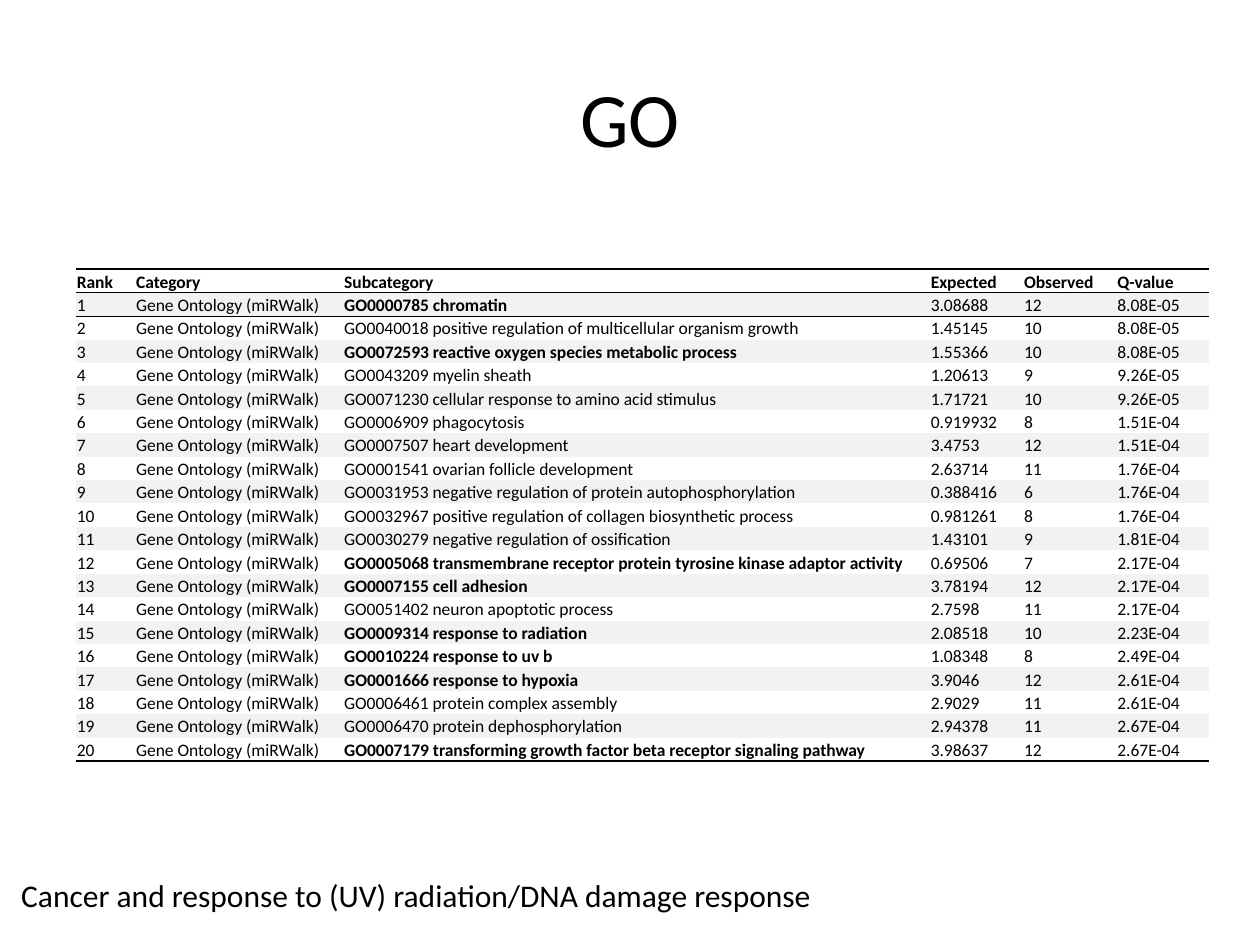
import pptx
import pptx.dml.color
import pptx.enum.text
import pptx.oxml
import pptx.oxml.ns
import pptx.util

SLIDE_WIDTH = pptx.util.Inches(10)
SLIDE_HEIGHT = pptx.util.Inches(7.5)
FONT = "Calibri"
BLACK, WHITE, GREY = "000000", "FFFFFF", "F2F2F2"
NO_STYLE = "{2D5ABB26-0587-4C30-8999-92F81FD0307C}"
THICK, THIN = 1.5, 0.5

CATEGORY = "Gene Ontology (miRWalk)"
HEADINGS = ["Rank", "Category", "Subcategory", "Expected", "Observed", "Q-value"]
COLUMN_SHARES = [0.47, 1.65, 4.65, 0.74, 0.74, 0.74]
BOLD_RANKS = {1, 3, 12, 13, 15, 16, 17, 20}
TERMS = [
    ("GO0000785 chromatin", "3.08688", "12", "8.08E-05"),
    ("GO0040018 positive regulation of multicellular organism growth", "1.45145", "10", "8.08E-05"),
    ("GO0072593 reactive oxygen species metabolic process", "1.55366", "10", "8.08E-05"),
    ("GO0043209 myelin sheath", "1.20613", "9", "9.26E-05"),
    ("GO0071230 cellular response to amino acid stimulus", "1.71721", "10", "9.26E-05"),
    ("GO0006909 phagocytosis", "0.919932", "8", "1.51E-04"),
    ("GO0007507 heart development", "3.4753", "12", "1.51E-04"),
    ("GO0001541 ovarian follicle development", "2.63714", "11", "1.76E-04"),
    ("GO0031953 negative regulation of protein autophosphorylation", "0.388416", "6", "1.76E-04"),
    ("GO0032967 positive regulation of collagen biosynthetic process", "0.981261", "8", "1.76E-04"),
    ("GO0030279 negative regulation of ossification", "1.43101", "9", "1.81E-04"),
    ("GO0005068 transmembrane receptor protein tyrosine kinase adaptor activity", "0.69506", "7", "2.17E-04"),
    ("GO0007155 cell adhesion", "3.78194", "12", "2.17E-04"),
    ("GO0051402 neuron apoptotic process", "2.7598", "11", "2.17E-04"),
    ("GO0009314 response to radiation", "2.08518", "10", "2.23E-04"),
    ("GO0010224 response to uv b", "1.08348", "8", "2.49E-04"),
    ("GO0001666 response to hypoxia", "3.9046", "12", "2.61E-04"),
    ("GO0006461 protein complex assembly", "2.9029", "11", "2.61E-04"),
    ("GO0006470 protein dephosphorylation", "2.94378", "11", "2.67E-04"),
    ("GO0007179 transforming growth factor beta receptor signaling pathway", "3.98637", "12", "2.67E-04"),
]


def color(value):
    return pptx.dml.color.RGBColor.from_string(value)


def place(left, top, width, height):
    return (round(left * SLIDE_WIDTH), round(top * SLIDE_HEIGHT),
            round(width * SLIDE_WIDTH), round(height * SLIDE_HEIGHT))


def format_text(paragraph, size, bold=False):
    for run in paragraph.runs:
        run.font.name = FONT
        run.font.size = pptx.util.Pt(size)
        run.font.bold = bold
        run.font.color.rgb = color(BLACK)


def add_text(slide, box, text, size, alignment, anchor):
    text_frame = slide.shapes.add_textbox(*box).text_frame
    text_frame.word_wrap = True
    text_frame.vertical_anchor = anchor
    text_frame.text = text
    paragraph = text_frame.paragraphs[0]
    paragraph.alignment = alignment
    format_text(paragraph, size)


def add_title(slide, box):
    add_text(slide, box, "GO", 44, pptx.enum.text.PP_ALIGN.CENTER,
             pptx.enum.text.MSO_ANCHOR.MIDDLE)


def add_conclusion(slide, box):
    add_text(slide, box, "Cancer and response to (UV) radiation/DNA damage response", 18,
             pptx.enum.text.PP_ALIGN.LEFT, pptx.enum.text.MSO_ANCHOR.TOP)


def add_border(cell, side, width):
    cell._tc.get_or_add_tcPr().append(pptx.oxml.parse_xml(
        f'<a:{side} {pptx.oxml.ns.nsdecls("a")} w="{pptx.util.Pt(width)}">'
        f'<a:solidFill><a:srgbClr val="{BLACK}"/></a:solidFill></a:{side}>'))


def fill_cell(cell, text, bold, background, borders):
    cell.margin_left = cell.margin_right = cell.margin_top = pptx.util.Inches(0.01)
    cell.margin_bottom = 0
    cell.vertical_anchor = pptx.enum.text.MSO_ANCHOR.BOTTOM
    for side, width in borders:
        add_border(cell, side, width)
    cell.fill.solid()
    cell.fill.fore_color.rgb = color(background)
    cell.text_frame.text = text
    format_text(cell.text_frame.paragraphs[0], 10, bold)


def add_ontology_table(slide, box):
    rows = [HEADINGS] + [[str(rank), CATEGORY, *term] for rank, term in enumerate(TERMS, 1)]
    borders = {0: [("lnT", THICK), ("lnB", THIN)], 1: [("lnT", THIN)],
               len(TERMS): [("lnB", THICK)]}
    table = slide.shapes.add_table(len(rows), len(HEADINGS), *box).table
    table.first_row = table.horz_banding = False
    table._tbl.tblPr.find(pptx.oxml.ns.qn("a:tableStyleId")).text = NO_STYLE
    for column, share in zip(table.columns, COLUMN_SHARES):
        column.width = round(box[2] * share / sum(COLUMN_SHARES))
    for rank, values in enumerate(rows):
        table.rows[rank].height = round(box[3] / len(rows))
        background = GREY if rank % 2 else WHITE
        for index, text in enumerate(values):
            bold = rank == 0 or (index == 2 and rank in BOLD_RANKS)
            fill_cell(table.cell(rank, index), text, bold, background, borders.get(rank, []))


def main():
    presentation = pptx.Presentation()
    presentation.slide_width = SLIDE_WIDTH
    presentation.slide_height = SLIDE_HEIGHT
    slide = presentation.slides.add_slide(presentation.slide_layouts[6])
    add_title(slide, place(0.05, 0.04, 0.9, 1 / 6))
    add_conclusion(slide, place(0.007, 0.92, 0.672, 0.054))
    add_ontology_table(slide, place(0.06, 0.285, 0.9, 0.521))
    presentation.save("out.pptx")


if __name__ == "__main__":
    main()
